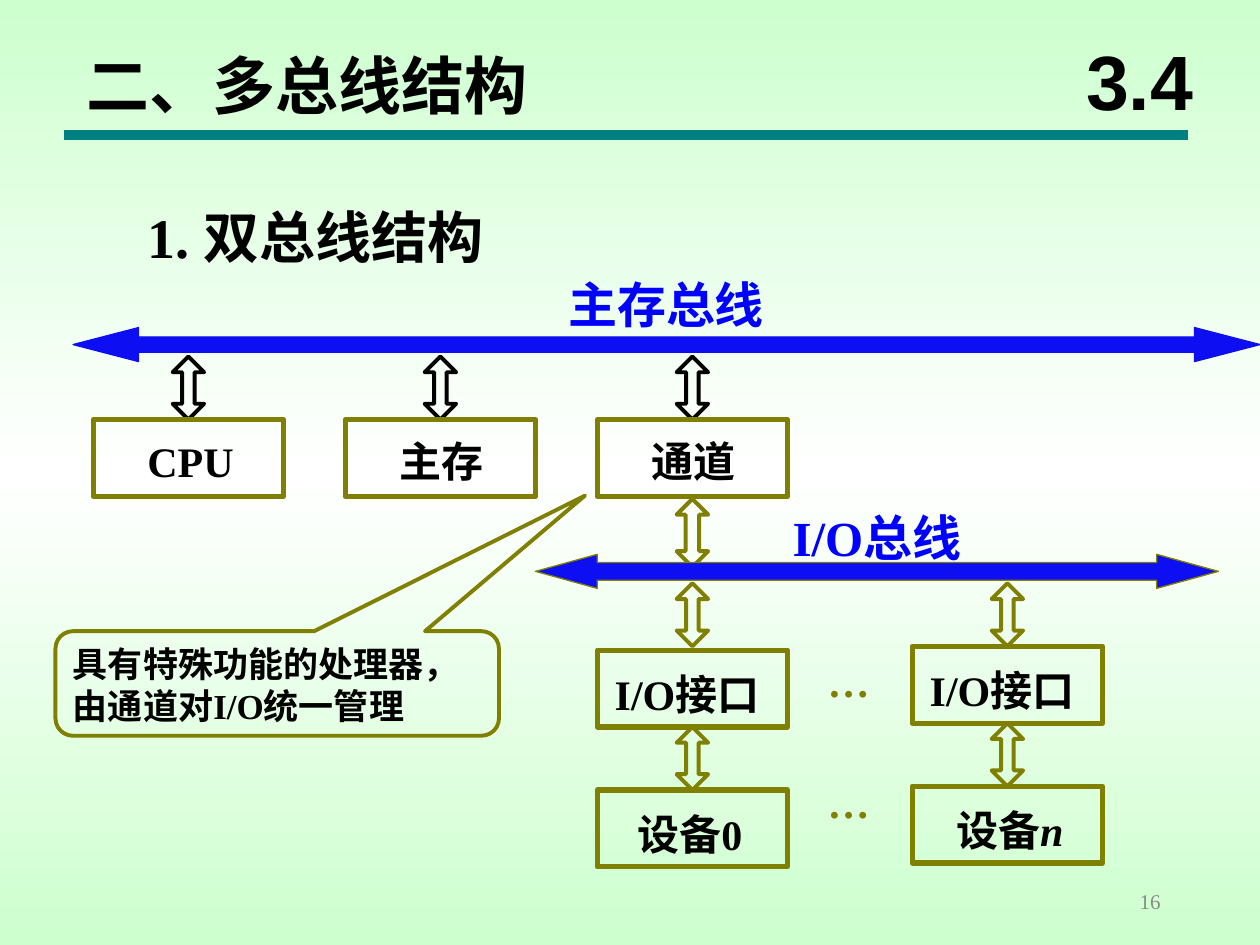
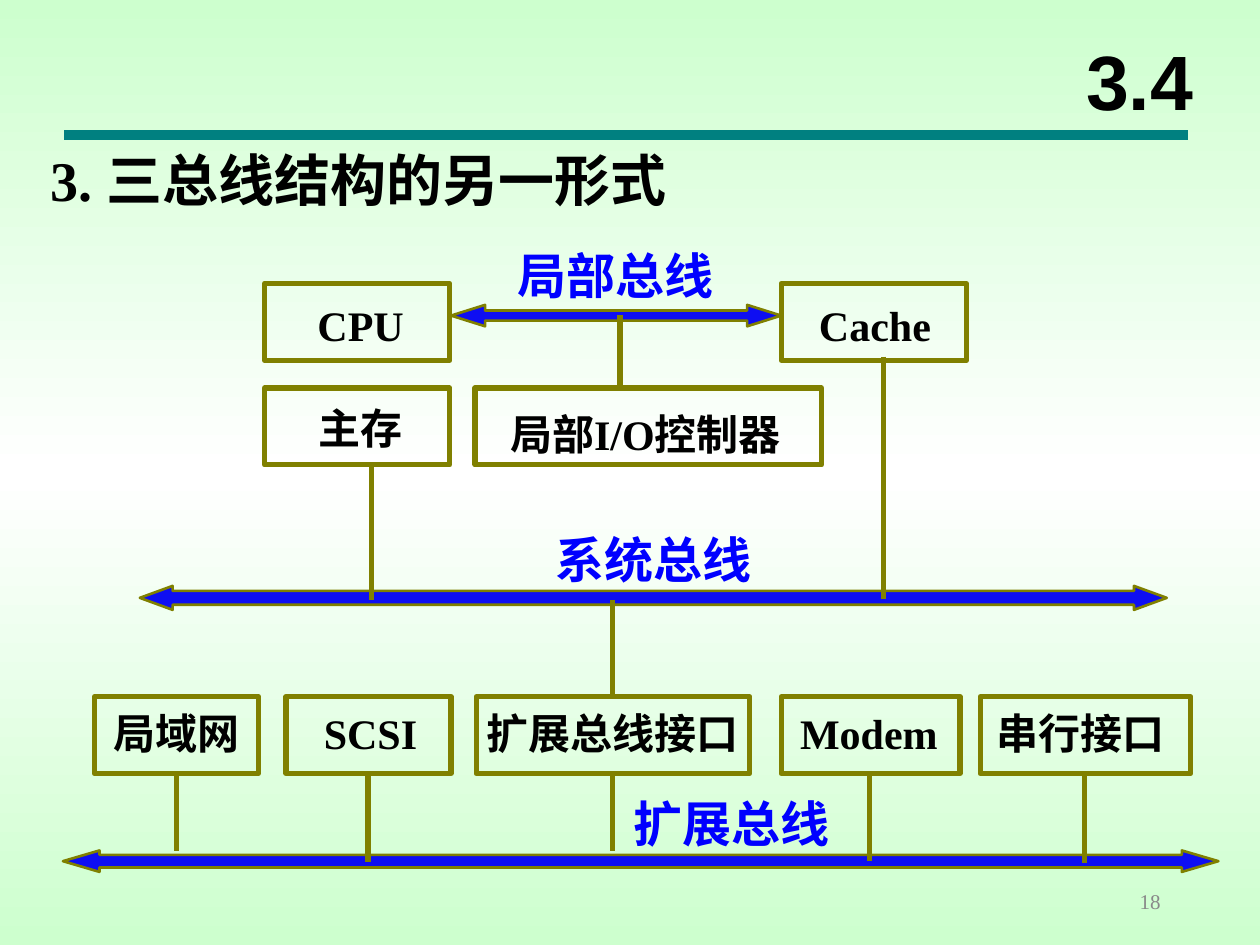
"""Build two slides that show double-bus and triple-bus computer structures."""
import copy
from dataclasses import dataclass, replace

import pptx
import pptx.dml.color
import pptx.enum.shapes
import pptx.enum.text
import pptx.oxml.ns
import pptx.util
from lxml import etree

EMU_PER_PX = 9144
SHAPE = pptx.enum.shapes.MSO_SHAPE
ALIGN = pptx.enum.text.PP_ALIGN
ANCHOR = pptx.enum.text.MSO_ANCHOR


@dataclass(frozen=True)
class TextStyle:
    size: int
    color: str = "000000"
    font: str = "Times New Roman"
    bold: bool = True
    leading: float = 1.28


class Theme:
    edge_green = "CDFFCE"
    middle_white = "FFFFFF"
    teal = "008080"
    olive = "808000"
    black = "000000"
    bus_fill = "0E0EF2"
    cjk_font = "Noto Sans CJK SC"
    title = TextStyle(36)
    heading = TextStyle(32)
    section = TextStyle(44, font="Arial", leading=1.0)
    page = TextStyle(12, "898989", bold=False, leading=1.0)
    module = TextStyle(24)
    module_cjk = replace(module, font=cjk_font)
    bus = TextStyle(28, "0000FF")
    bus_cjk = replace(bus, font=cjk_font)
    dots = TextStyle(24, olive)
    note = TextStyle(20, leading=1.2)


def px(length):
    return pptx.util.Emu(length * EMU_PER_PX)


def rgb(color):
    return pptx.dml.color.RGBColor.from_string(color)


def add_run(paragraph, text, style, italic=False):
    run = paragraph.add_run()
    run.text = text
    run.font.size = pptx.util.Pt(style.size)
    run.font.bold = style.bold
    run.font.italic = italic
    run.font.color.rgb = rgb(style.color)
    run.font.name = style.font
    east_asian = etree.SubElement(run.font._element, pptx.oxml.ns.qn("a:ea"))
    east_asian.set("typeface", Theme.cjk_font)


def write(frame, lines, style, italic_tail="", align=ALIGN.LEFT,
          anchor=ANCHOR.TOP, padded=True):
    frame.word_wrap = True
    frame.vertical_anchor = anchor
    frame.margin_left = frame.margin_right = px(10 if padded else 0)
    frame.margin_top = frame.margin_bottom = px(5 if padded else 0)
    for index, line in enumerate(lines):
        paragraph = frame.add_paragraph() if index else frame.paragraphs[0]
        paragraph.alignment = align
        if style.leading != 1:
            paragraph.line_spacing = pptx.util.Pt(round(style.size * style.leading, 1))
        add_run(paragraph, line, style)
    if italic_tail:
        add_run(paragraph, italic_tail, style, italic=True)


def add_label(slide, box, text, style, **layout):
    label = slide.shapes.add_textbox(*map(px, box))
    write(label.text_frame, [text], style, **layout)


def add_outline(slide, preset, box, color, width, fill=None):
    outline = slide.shapes.add_shape(preset, *map(px, box))
    outline.shadow.inherit = False
    if fill:
        outline.fill.solid()
        outline.fill.fore_color.rgb = rgb(fill)
    else:
        outline.fill.background()
    outline.line.color.rgb = rgb(color)
    outline.line.width = pptx.util.Pt(width)
    return outline


def add_module(slide, frame, label_box, text, style=Theme.module, **layout):
    add_outline(slide, SHAPE.RECTANGLE, frame, Theme.olive, 3)
    add_label(slide, label_box, text, style, **layout)


def add_bus(slide, box, head, shaft, edge=Theme.olive, edge_width=1.5):
    bus = add_outline(slide, SHAPE.LEFT_RIGHT_ARROW, box, edge, edge_width, Theme.bus_fill)
    bus.adjustments[0] = shaft / box[3]
    bus.adjustments[1] = head / box[3]


def add_exchange(slide, center, top, height=50, color=Theme.olive):
    width = 25
    exchange = add_outline(slide, SHAPE.UP_DOWN_ARROW,
                           (center - 12, top, width, height), color, 2.25)
    exchange.adjustments[0] = 0.5
    exchange.adjustments[1] = 0.2 * height / width


def add_wire(slide, start, end, color=Theme.olive, width=3):
    wire = slide.shapes.add_connector(
        pptx.enum.shapes.MSO_CONNECTOR.STRAIGHT, *map(px, (*start, *end)))
    wire.line.color.rgb = rgb(color)
    wire.line.width = pptx.util.Pt(width)
    etree.SubElement(wire._element.spPr, pptx.oxml.ns.qn("a:effectLst"))


def paint_background(slide):
    fill = slide.background.fill
    fill.gradient()
    fill.gradient_angle = 90
    stops = slide._element.find(".//" + pptx.oxml.ns.qn("a:gsLst"))
    stops.insert(1, copy.deepcopy(stops[0]))
    colors = (Theme.edge_green, Theme.middle_white, Theme.edge_green)
    for stop, color, position in zip(fill.gradient_stops, colors, (0, 0.5, 1)):
        stop.color.rgb = rgb(color)
        stop.position = position


def new_slide(deck, page):
    slide = deck.slides.add_slide(deck.slide_layouts[6])
    paint_background(slide)
    add_wire(slide, (51, 107), (943, 107), Theme.teal, 6)
    add_label(slide, (842, 17, 125, 92), "3.4", Theme.section,
              align=ALIGN.CENTER, anchor=ANCHOR.MIDDLE)
    add_label(slide, (706, 695, 225, 40), page, Theme.page,
              align=ALIGN.RIGHT, anchor=ANCHOR.MIDDLE)
    return slide


def add_channel_note(slide):
    note = add_outline(slide, SHAPE.ROUNDED_RECTANGULAR_CALLOUT,
                       (44, 501, 352, 83), Theme.olive, 2.25)
    for index, value in enumerate((0.694, -1.797, 0.167)):
        note.adjustments[index] = value
    write(note.text_frame, ["具有特殊功能的处理器，", "由通道对I/O统一管理"], Theme.note)


def build_double_bus(deck):
    slide = new_slide(deck, "16")
    add_label(slide, (59, 28, 390, 70), "二、多总线结构", Theme.title)
    add_label(slide, (107, 152, 320, 64), "1. 双总线结构", Theme.heading)
    add_channel_note(slide)

    module_width, module_height = 151, 61
    host_modules = (("CPU", Theme.module), ("主存", Theme.module_cjk),
                    ("通道", Theme.module_cjk))
    for index, (name, style) in enumerate(host_modules):
        left = 74 + 200 * index
        add_exchange(slide, left + 75, 283, color=Theme.black)
        add_module(slide, (left, 333, module_width, module_height),
                   (left + 43, 343, 80, 40), name, style, padded=False)
    add_exchange(slide, 549, 396, 54)

    devices = ((474, 516, 496, "0", ""), (724, 513, 749, "", "n"))
    for left, top, device_left, number, letter in devices:
        add_exchange(slide, left + 75, 463)
        add_module(slide, (left, top, module_width, module_height),
                   (left + 4, top + 7, 155, 50), "I/O接口")
        add_exchange(slide, left + 75, top + 61)
        add_module(slide, (left, top + 111, module_width, module_height),
                   (device_left, top + 118, 138, 50), "设备" + number,
                   italic_tail=letter)
    for top in (513, 609):
        add_label(slide, (647, top, 53, 50), "…", Theme.dots)

    add_label(slide, (451, 215, 266, 47), "主存总线", Theme.bus_cjk, padded=False)
    add_label(slide, (629, 400, 221, 47), "I/O总线", Theme.bus, padded=False)
    add_bus(slide, (58, 260, 942, 27), 52, 12, Theme.bus_fill, 0.75)
    add_bus(slide, (425, 440, 542, 27), 49, 14, edge_width=0.75)


def build_triple_bus(deck):
    slide = new_slide(deck, "18")
    add_label(slide, (30, 107, 540, 64), "3. 三总线结构的另一形式", Theme.heading)

    buses = (("局部总线", 411, 192, (358, 242, 262, 17), 27, 8),
             ("系统总线", 441, 417, (111, 465, 815, 19), 26, 11),
             ("扩展总线", 503, 627, (50, 675, 917, 17), 29, 10))
    for name, left, top, box, head, shaft in buses:
        add_label(slide, (left, top, 175, 47), name, Theme.bus_cjk, padded=False)
        add_bus(slide, box, head, shaft)

    wires = ((492, 250, 308), (295, 368, 476), (701, 283, 475), (486, 476, 553),
             (140, 614, 675), (292, 614, 684), (486, 614, 675),
             (690, 614, 683), (861, 614, 685))
    for x, top, bottom in wires:
        add_wire(slide, (x, top), (x, bottom))

    host_modules = (("CPU", 210, 225, 252, 235, Theme.module),
                    ("Cache", 620, 225, 650, 235, Theme.module),
                    ("主存", 210, 308, 253, 317, Theme.module_cjk))
    for name, left, top, label_left, label_top, style in host_modules:
        add_module(slide, (left, top, 147, 61), (label_left, label_top, 140, 40),
                   name, style, padded=False)
    add_module(slide, (377, 308, 275, 61), (395, 317, 355, 50), "局部I/O控制器")

    expansion_modules = (("局域网", 75, 130, 90, Theme.module_cjk),
                         ("SCSI", 227, 131, 257, Theme.module),
                         ("扩展总线接口", 378, 217, 386, Theme.module_cjk),
                         ("Modem", 620, 142, 635, Theme.module),
                         ("串行接口", 778, 167, 791, Theme.module_cjk))
    for name, left, width, label_left, style in expansion_modules:
        add_module(slide, (left, 553, width, 61), (label_left, 559, width + 50, 40),
                   name, style, padded=False)


def main():
    deck = pptx.Presentation()
    deck.slide_width, deck.slide_height = px(1000), px(750)
    build_double_bus(deck)
    build_triple_bus(deck)
    deck.save("out.pptx")


if __name__ == "__main__":
    main()
